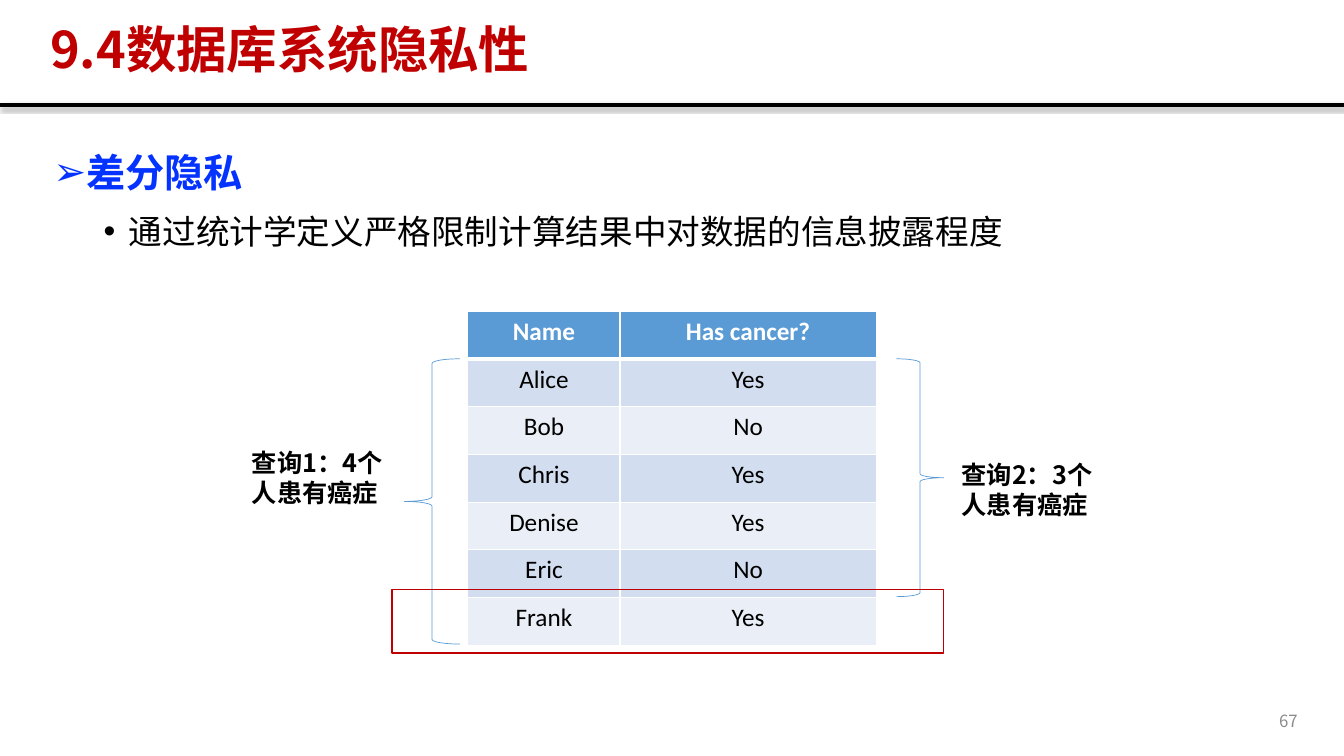
import pptx
import pptx.util
import pptx.dml.color
import pptx.enum.shapes
import pptx.enum.text
import pptx.oxml
import pptx.oxml.ns
from lxml import etree

Inches = pptx.util.Inches
Pt = pptx.util.Pt
SHAPE = pptx.enum.shapes.MSO_SHAPE
ALIGN = pptx.enum.text.PP_ALIGN
ANCHOR = pptx.enum.text.MSO_ANCHOR
qn = pptx.oxml.ns.qn

COLORS = {
    "black": "000000", "white": "FFFFFF", "red": "C00000", "blue": "0432FF",
    "gray": "8C8C8C", "accent": "5B9BD5", "band_dark": "D2DEEF", "band_light": "EAEFF7",
}
CJK = "Noto Sans CJK SC"
LATIN = "Calibri"
PATIENTS = [
    ("Name", "Has cancer?"), ("Alice", "Yes"), ("Bob", "No"), ("Chris", "Yes"),
    ("Denise", "Yes"), ("Eric", "No"), ("Frank", "Yes"),
]
TABLE_LEFT, TABLE_TOP, ROW_HEIGHT = 4.64, 3.09, 0.473
COLUMN_WIDTHS = [1.51, 2.54]


def rgb(name):
    return pptx.dml.color.RGBColor.from_string(COLORS[name])


def apply(target, values):
    for name, value in values.items():
        setattr(target, name, value)


def write(para, text, size, color, bold=False, font=CJK, **layout):
    apply(para, layout)
    span = para.add_run()
    span.text = text
    apply(span.font, {"size": Pt(size), "bold": bold, "name": font})
    span.font.color.rgb = rgb(color)
    east_asian = etree.SubElement(span.font._element, qn("a:ea"))
    east_asian.set("typeface", font)


def add_bullet(para, symbol, margin):
    properties = para._p.get_or_add_pPr()
    properties.set("marL", str(Inches(margin)))
    properties.set("indent", str(Inches(-0.25)))
    font = etree.SubElement(properties, qn("a:buFont"))
    font.set("typeface", "Arial")
    bullet = etree.SubElement(properties, qn("a:buChar"))
    bullet.set("char", symbol)


def add_frame(page, bounds, anchor=ANCHOR.TOP):
    box = page.shapes.add_textbox(*map(Inches, bounds))
    apply(box.text_frame, {"word_wrap": True, "vertical_anchor": anchor})
    return box.text_frame


def add_outline(page, kind, bounds, color, weight):
    shape = page.shapes.add_shape(kind, *map(Inches, bounds))
    shape.shadow.inherit = False
    shape.fill.background()
    shape.line.color.rgb = rgb(color)
    shape.line.width = Pt(weight)


def add_title_rule(page):
    rule = page.shapes.add_connector(
        pptx.enum.shapes.MSO_CONNECTOR.STRAIGHT,
        Inches(0), Inches(1.04), Inches(13.33), Inches(1.04))
    rule.line.color.rgb = rgb("black")
    rule.line.width = Pt(3)
    effects = etree.SubElement(rule._element.spPr, qn("a:effectLst"))
    shadow = etree.SubElement(
        effects, qn("a:outerShdw"), blurRad=str(Pt(3.1)), dist=str(Pt(1.8)),
        dir="5400000", rotWithShape="0")
    color = etree.SubElement(shadow, qn("a:srgbClr"), val=COLORS["black"])
    etree.SubElement(color, qn("a:alpha"), val="35000")


def add_borders(cell, top, bottom):
    properties = cell._tc.get_or_add_tcPr()
    sides = [("L", 1), ("R", 1), ("T", top), ("B", bottom)]
    for position, (side, weight) in enumerate(sides):
        border = etree.Element(qn(f"a:ln{side}"), w=str(Pt(weight)))
        fill = etree.SubElement(border, qn("a:solidFill"))
        etree.SubElement(fill, qn("a:srgbClr"), val=COLORS["white"])
        properties.insert(position, border)


def add_patient_table(page):
    table = page.shapes.add_table(
        len(PATIENTS), len(COLUMN_WIDTHS), Inches(TABLE_LEFT), Inches(TABLE_TOP),
        Inches(sum(COLUMN_WIDTHS)), Inches(ROW_HEIGHT * len(PATIENTS))).table
    for column, width in zip(table.columns, COLUMN_WIDTHS):
        column.width = Inches(width)
    for index, record in enumerate(PATIENTS):
        table.rows[index].height = Inches(ROW_HEIGHT)
        header = index == 0
        band = "accent" if header else "band_dark" if index % 2 else "band_light"
        for cell, text in zip(table.rows[index].cells, record):
            cell.fill.solid()
            cell.fill.fore_color.rgb = rgb(band)
            add_borders(cell, 3 if index == 1 else 1, 3 if header else 1)
            write(cell.text_frame.paragraphs[0], text, 18, "white" if header else "black",
                  header, LATIN, alignment=ALIGN.CENTER)


def add_body(page):
    frame = add_frame(page, (0.43, 1.33, 12.71, 1.3))
    heading = frame.paragraphs[0]
    add_bullet(heading, "➢", 0.25)
    write(heading, "差分隐私", 28, "blue", True,
          alignment=ALIGN.JUSTIFY, line_spacing=1.2)
    detail = frame.add_paragraph()
    add_bullet(detail, "•", 0.75)
    write(detail, "通过统计学定义严格限制计算结果中对数据的信息披露程度", 24, "black",
          alignment=ALIGN.JUSTIFY, line_spacing=1.2, space_before=Pt(5), level=1)


def main():
    deck = pptx.Presentation()
    apply(deck, {"slide_width": Inches(13.33), "slide_height": Inches(7.5)})
    page = deck.slides.add_slide(deck.slide_layouts[6])
    add_title_rule(page)
    title = add_frame(page, (0.4, 0.19, 11.7, 0.65), ANCHOR.MIDDLE)
    write(title.paragraphs[0], "9.4数据库系统隐私性", 36, "red", True,
          alignment=ALIGN.JUSTIFY, line_spacing=0.9)
    add_body(page)
    add_patient_table(page)
    queries = [
        ("查询1：4个人患有癌症", (2.4, 4.39, 1.5, 0.71),
         SHAPE.LEFT_BRACE, (4.01, 3.56, 0.55, 2.83)),
        ("查询2：3个人患有癌症", (9.44, 4.51, 1.5, 0.71),
         SHAPE.RIGHT_BRACE, (8.89, 3.56, 0.47, 2.36)),
    ]
    for text, label_bounds, brace, brace_bounds in queries:
        write(add_frame(page, label_bounds).paragraphs[0], text, 18, "black", True)
        add_outline(page, brace, brace_bounds, "accent", 0.5)
    add_outline(page, SHAPE.RECTANGLE, (3.89, 5.85, 5.47, 0.63), "red", 1)
    number = add_frame(page, (9.97, 6.95, 3, 0.4), ANCHOR.MIDDLE)
    write(number.paragraphs[0], "67", 12, "gray", alignment=ALIGN.RIGHT)
    deck.save("out.pptx")


if __name__ == "__main__":
    main()
